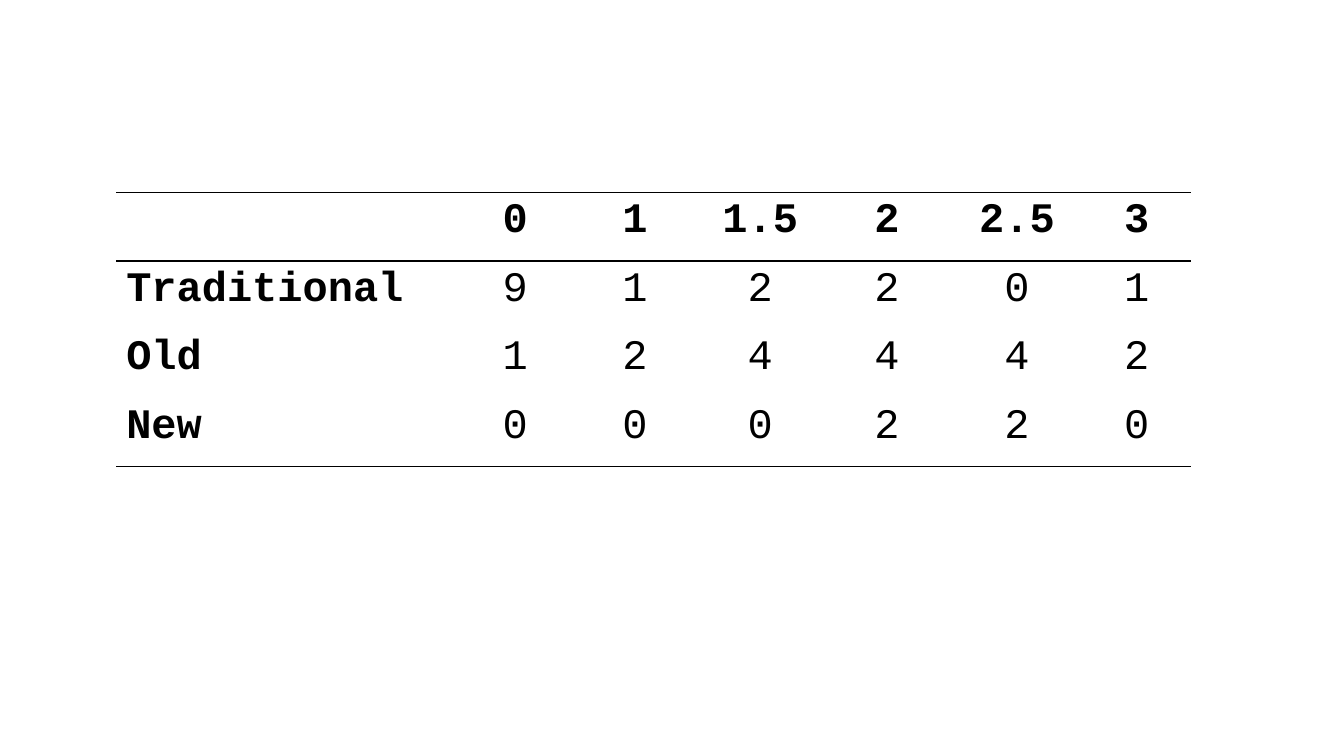
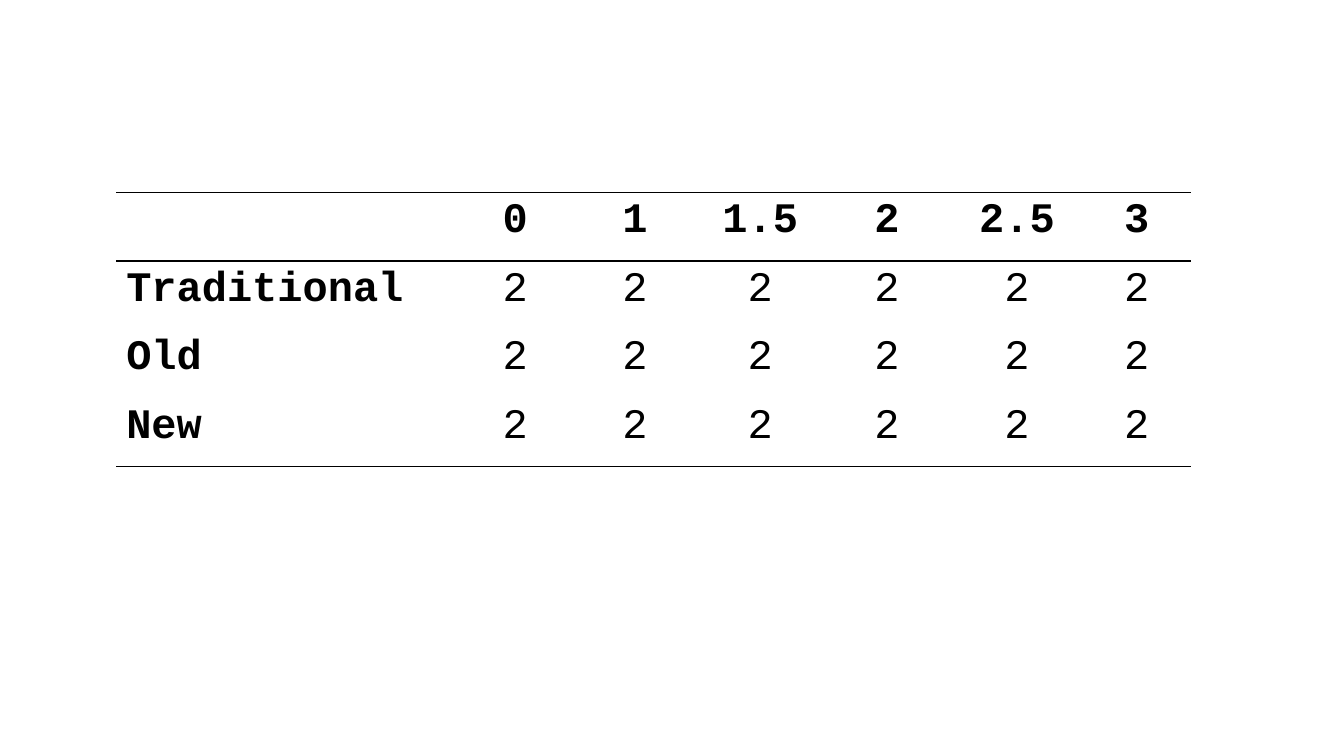
"""Build two slides that each hold one ruled table of counts by approach and score."""
from dataclasses import dataclass

from lxml.etree import SubElement
from pptx import Presentation
from pptx.dml.color import RGBColor as Color
from pptx.enum.text import PP_ALIGN as Align
from pptx.oxml.ns import qn
from pptx.slide import Slide
from pptx.table import _Cell as Cell
from pptx.util import Pt


@dataclass(frozen=True)
class Theme:
    ink: str = "000000"
    paper: str = "FFFFFF"
    font: str = "Courier New"
    text_size: float = 30
    rule_width: float = 1


@dataclass(frozen=True)
class Frame:
    left: float
    top: float
    row_height: float
    column_widths: tuple[float, ...]


@dataclass(frozen=True)
class Approach:
    name: str
    counts: tuple[int, ...]


THEME = Theme()
FRAME = Frame(83, 137.5, 49, (245, 80, 91, 88, 93, 93, 78))
SCORES = ("0", "1", "1.5", "2", "2.5", "3")
SLIDES = (
    (
        Approach("Traditional", (9, 1, 2, 2, 0, 1)),
        Approach("Old", (1, 2, 4, 4, 4, 2)),
        Approach("New", (0, 0, 0, 2, 2, 0)),
    ),
    tuple(Approach(name, (2,) * len(SCORES)) for name in ("Traditional", "Old", "New")),
)


def rule_cell(cell: Cell, ruled_sides: set[str]) -> None:
    properties = cell._tc.get_or_add_tcPr()
    for side in "LRTB":
        border = SubElement(properties, qn(f"a:ln{side}"), w=str(Pt(THEME.rule_width)))
        if side in ruled_sides:
            fill = SubElement(border, qn("a:solidFill"))
            SubElement(fill, qn("a:srgbClr"), val=THEME.ink)
        else:
            SubElement(border, qn("a:noFill"))


def write_cell(cell: Cell, text: str, bold: bool, align: Align) -> None:
    para = cell.text_frame.paragraphs[0]
    para.text = text
    para.alignment = align
    para.font.name = THEME.font
    para.font.size = Pt(THEME.text_size)
    para.font.bold = bold
    para.font.color.rgb = Color.from_string(THEME.ink)


def add_count_table(page: Slide, approaches: tuple[Approach, ...]) -> None:
    rows = [("", *SCORES)]
    rows += [(approach.name, *map(str, approach.counts)) for approach in approaches]
    table = page.shapes.add_table(
        len(rows), len(FRAME.column_widths), Pt(FRAME.left), Pt(FRAME.top),
        Pt(sum(FRAME.column_widths)), Pt(FRAME.row_height * len(rows)),
    ).table
    table.first_row = table.horz_banding = False
    for column, width in zip(table.columns, FRAME.column_widths):
        column.width = Pt(width)
    last_row = len(rows) - 1
    for row_index, texts in enumerate(rows):
        table.rows[row_index].height = Pt(FRAME.row_height)
        ruled_sides = set()
        if row_index in (0, 1):
            ruled_sides.add("T")
        if row_index in (0, last_row):
            ruled_sides.add("B")
        for column_index, text in enumerate(texts):
            cell = table.cell(row_index, column_index)
            rule_cell(cell, ruled_sides)
            cell.fill.solid()
            cell.fill.fore_color.rgb = Color.from_string(THEME.paper)
            is_heading = row_index == 0 or column_index == 0
            align = Align.CENTER if column_index else Align.LEFT
            write_cell(cell, text, is_heading, align)


def main() -> None:
    deck = Presentation()
    deck.slide_width, deck.slide_height = Pt(960), Pt(540)
    blank_layout = deck.slide_layouts[6]
    for approaches in SLIDES:
        add_count_table(deck.slides.add_slide(blank_layout), approaches)
    deck.save("out.pptx")


if __name__ == "__main__":
    main()
